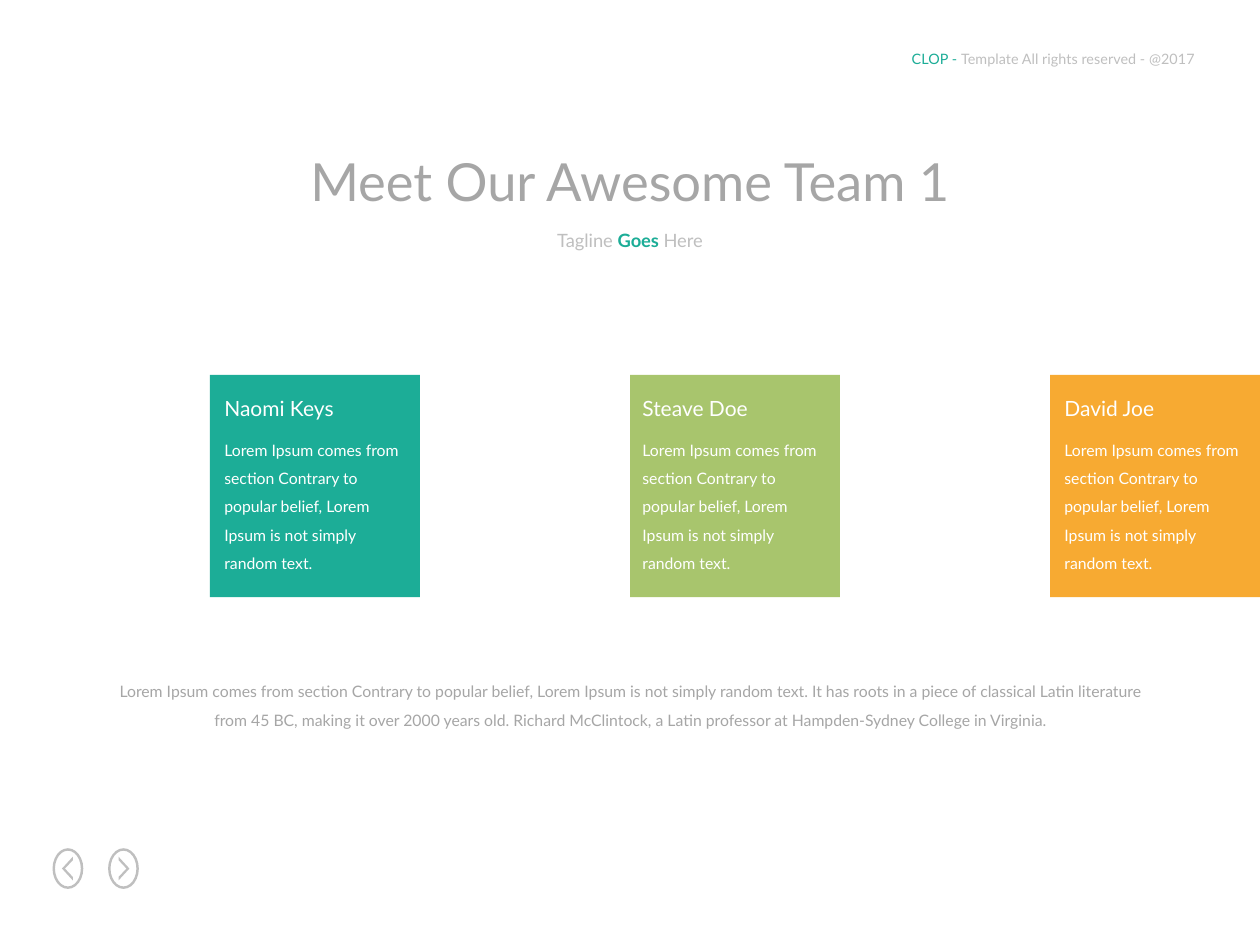
from pptx import Presentation
from pptx.dml.color import RGBColor
from pptx.enum.shapes import MSO_SHAPE
from pptx.enum.text import MSO_AUTO_SIZE, PP_ALIGN
from pptx.util import Cm, Pt

RECTANGLE, DONUT = MSO_SHAPE.RECTANGLE, MSO_SHAPE.DONUT
LEFT, CENTER = PP_ALIGN.LEFT, PP_ALIGN.CENTER
GROW = MSO_AUTO_SIZE.SHAPE_TO_FIT_TEXT

FONT = "Lato"
COLORS = {
    "teal": "1CAD97",
    "green": "A8C56D",
    "orange": "F7AA32",
    "light_gray": "BFBFBF",
    "gray": "A6A6A6",
    "white": "FFFFFF",
}
SLIDE_WIDTH, SLIDE_HEIGHT = 25.4, 19.05

CARD_TEXT = ("Lorem Ipsum comes from section Contrary to popular belief, "
             "Lorem Ipsum is not simply random text.")
SUMMARY = (CARD_TEXT + " It has roots in a piece of classical Latin literature "
           "from 45 BC, making it over 2000 years old. Richard McClintock, "
           "a Latin professor at Hampden-Sydney College in Virginia.")
# Name, card color, text offset inside the card
TEAM = [
    ("Naomi Keys", "teal", 0.04),
    ("Steave Doe", "green", 0),
    ("David Joe", "orange", 0.04),
]


def rgb(color):
    return RGBColor.from_string(COLORS[color])


def paint(shape, color):
    shape.shadow.inherit = False
    shape.fill.solid()
    shape.fill.fore_color.rgb = rgb(color)
    shape.line.fill.background()


def add_text(slide, box, runs, size, align=LEFT, wrap=False, spacing=None):
    """Place one paragraph; runs are (text, color, bold) tuples."""
    text_box = slide.shapes.add_textbox(*map(Cm, box))
    frame = text_box.text_frame
    frame.word_wrap = wrap
    frame.auto_size = GROW
    paragraph = frame.paragraphs[0]
    paragraph.alignment = align
    paragraph.line_spacing = spacing
    paragraph.font.name = FONT
    paragraph.font.size = Pt(size)
    for text, color, bold in runs:
        run = paragraph.add_run()
        run.text = text
        run.font.color.rgb = rgb(color)
        if bold:
            run.font.bold = True


def add_header(slide, left, top, width):
    add_text(slide, (left, top, width, 0.61),
             [("CLOP - ", "teal", False),
              ("Template All rights reserved - @2017", "light_gray", False)], 8.25)


def add_title(slide, left, top, width):
    add_text(slide, (left, top, width, 1.55),
             [("Meet Our Awesome Team 1", "gray", False)], 30, CENTER)
    add_text(slide, (left, top + 1.63, width, 0.71),
             [("Tagline ", "light_gray", False), ("Goes ", "teal", True),
              ("Here", "light_gray", False)], 10.5, CENTER)


def add_card(slide, left, top, width, height, name, color, offset):
    card = slide.shapes.add_shape(
        RECTANGLE, Cm(left), Cm(top), Cm(width), Cm(height))
    paint(card, color)
    text_left, text_width = left + offset, width - 0.04
    add_text(slide, (text_left, top + 1, text_width, 3.15),
             [(CARD_TEXT, "white", False)], 9, wrap=True, spacing=1.5)
    # The name box is as wide as the text below, so names stay on one line
    add_text(slide, (text_left, top + 0.28, text_width, 0.76),
             [(name, "white", False)], 12, wrap=True)


def add_arrow_button(slide, left, top, width, height, direction):
    """Ring with a chevron; direction is -1 for back and 1 for forward."""
    ring = slide.shapes.add_shape(
        DONUT, Cm(left), Cm(top), Cm(width), Cm(height))
    ring.adjustments[0] = 0.08
    paint(ring, "light_gray")

    middle_x, middle_y = left + width / 2, top + height / 2
    # Chevron corners relative to the ring center, pointing right
    corners = [(-0.1, -0.17), (0.06, 0), (-0.1, 0.17),
               (-0.1, 0.24), (0.12, 0), (-0.1, -0.24)]
    points = [(Cm(middle_x + direction * x), Cm(middle_y + y))
              for x, y in corners]
    builder = slide.shapes.build_freeform(*points[0])
    builder.add_line_segments(points[1:], close=True)
    paint(builder.convert_to_shape(), "light_gray")


def main():
    presentation = Presentation()
    presentation.slide_width = Cm(SLIDE_WIDTH)
    presentation.slide_height = Cm(SLIDE_HEIGHT)
    slide = presentation.slides.add_slide(presentation.slide_layouts[6])

    # Header and navigation
    add_header(slide, 18.13, 0.89, 6.35)
    for index, direction in enumerate((-1, 1)):
        add_arrow_button(slide, 1.06 + index * 1.12, 17.1, 0.62, 0.82, direction)

    # Title and tagline
    add_title(slide, 5.77, 2.87, 13.86)

    # Team cards fill the right half of three equal columns
    column = SLIDE_WIDTH / 3
    for index, (name, color, offset) in enumerate(TEAM):
        add_card(slide, (index + 0.5) * column, 7.56, column / 2, 4.48,
                 name, color, offset)

    # Summary
    add_text(slide, (1.9, 13.43, 21.6, 1.42), [(SUMMARY, "gray", False)], 9,
             CENTER, wrap=True, spacing=1.5)

    presentation.save("out.pptx")


if __name__ == "__main__":
    main()
